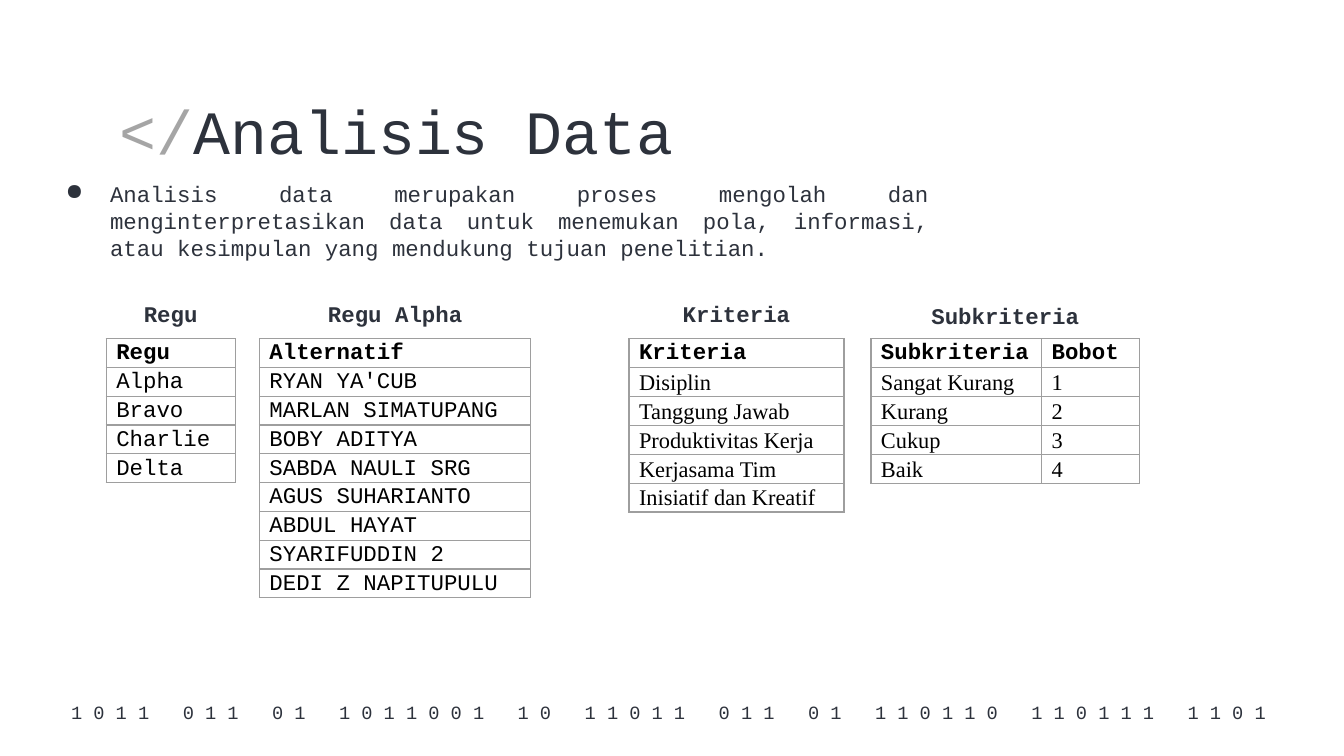
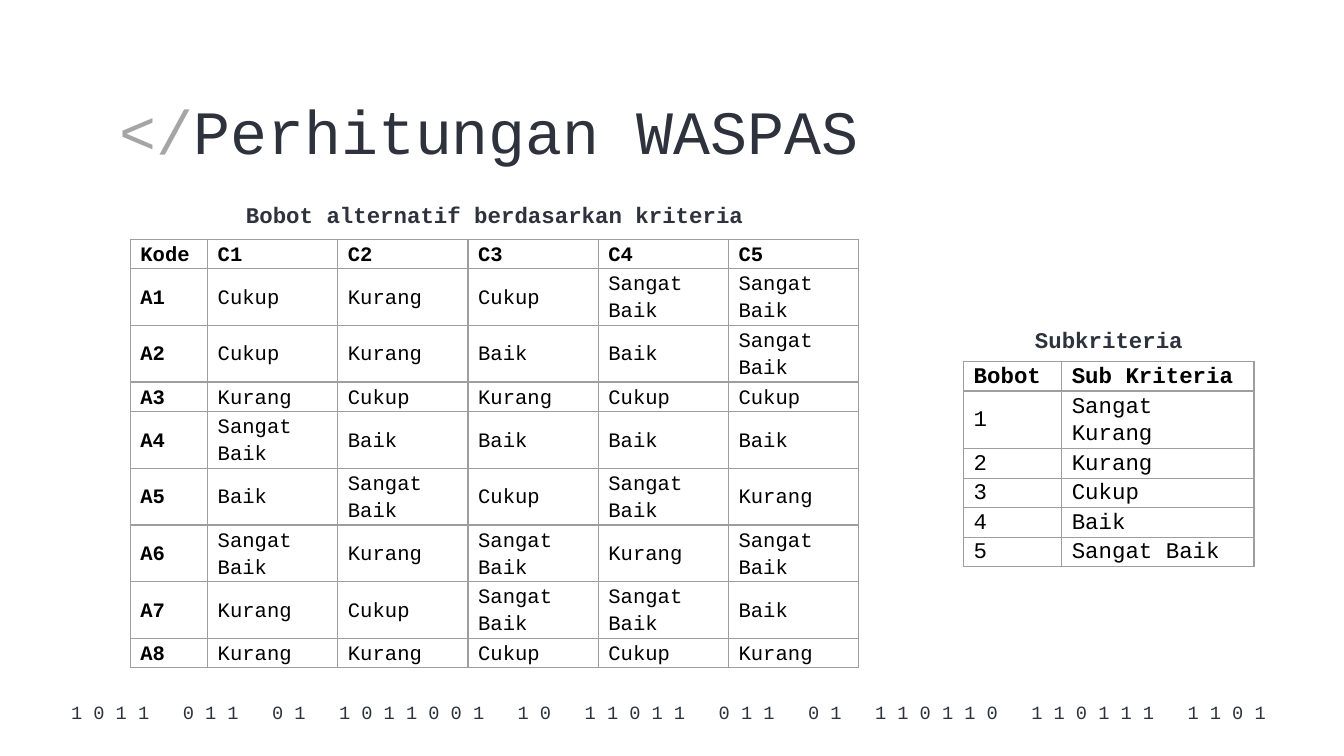
import pptx
import pptx.dml.color
import pptx.enum.text
import pptx.oxml
import pptx.oxml.ns
import pptx.util

COLORS = {"ink": "2D323C", "accent": "A5A5A5", "cell": "000000", "border": "9E9E9E", "page": "FFFFFF"}
MONO = "Courier New"
SERIF = "Times New Roman"
GRID_COLUMNS = 100
BINARY = "1011 011 01 1011001 10 11011 011 01 110110 110111 1101".split()
ALIGN = pptx.enum.text.PP_ALIGN
MIDDLE = pptx.enum.text.MSO_ANCHOR.MIDDLE


class Slides:
    def __init__(self):
        self.deck = pptx.Presentation()
        self.deck.slide_width = pptx.util.Inches(10)
        self.deck.slide_height = pptx.util.Inches(5.625)
        self.unit = self.deck.slide_width / GRID_COLUMNS
        self.page = None

    def grid(self, *lengths):
        return [round(length * self.unit) for length in lengths]

    def color(self, name):
        return pptx.dml.color.RGBColor.from_string(COLORS[name])

    def style(self, font, size, color="ink", bold=False, name=MONO):
        font.name = name
        font.size = pptx.util.Pt(size)
        font.bold = bold
        font.color.rgb = self.color(color)

    def text_box(self, place, size, align, bold=False, inset=None, anchor=None):
        box = self.page.shapes.add_textbox(*self.grid(*place))
        frame = box.text_frame
        frame.word_wrap = True
        if anchor is not None:
            frame.vertical_anchor = anchor
        if inset is not None:
            frame.margin_top, frame.margin_bottom = self.grid(inset, inset)
        para = frame.paragraphs[0]
        para.alignment = align
        self.style(para.font, size, bold=bold)
        return para, frame

    def add_span(self, para, text):
        span = para.add_run()
        span.text = text
        return span

    def add_page(self, title):
        self.page = self.deck.slides.add_slide(self.deck.slide_layouts[6])
        fill = self.page.background.fill
        fill.solid()
        fill.fore_color.rgb = self.color("page")
        self.footer()
        para, _ = self.text_box((7.9, 5.9, 84.3, 10.9), 33, ALIGN.LEFT, inset=1)
        self.add_span(para, "</").font.color.rgb = self.color("accent")
        self.add_span(para, title)

    def footer(self):
        para, _ = self.text_box((3.8, 52, 92.7, 2), 10, ALIGN.CENTER, inset=1, anchor=MIDDLE)
        for group in BINARY:
            self.add_span(para, " ".join(group))
            gap = self.add_span(para, " ")
            if group is not BINARY[-1]:
                gap.font._element.set("spc", "1200")

    def bullet(self, place, text):
        para, _ = self.text_box(place, 12, ALIGN.JUSTIFY, inset=1)
        self.add_span(para, text)
        indent, hanging = self.grid(5, -3.3)
        properties = para._p.get_or_add_pPr()
        properties.set("marL", str(indent))
        properties.set("indent", str(hanging))
        namespace = pptx.oxml.ns.nsdecls("a")
        marks = (
            f'<a:buClr {namespace}><a:srgbClr val="{COLORS["ink"]}"/></a:buClr>',
            f'<a:buChar {namespace} char="●"/>',
        )
        for position, mark in enumerate(marks):
            properties.insert(position, pptx.oxml.parse_xml(mark))

    def caption(self, left, top, width, text):
        para, frame = self.text_box((left, top, width, 3), 12, ALIGN.CENTER, bold=True, anchor=MIDDLE)
        frame.auto_size = pptx.enum.text.MSO_AUTO_SIZE.SHAPE_TO_FIT_TEXT
        self.add_span(para, text)

    def border(self, cell):
        properties = cell._tc.get_or_add_tcPr()
        for position, side in enumerate(("lnL", "lnR", "lnT", "lnB")):
            line = (
                f'<a:{side} {pptx.oxml.ns.nsdecls("a")} w="{pptx.util.Pt(0.75)}">'
                f'<a:solidFill><a:srgbClr val="{COLORS["border"]}"/></a:solidFill></a:{side}>'
            )
            properties.insert(position, pptx.oxml.parse_xml(line))

    def table(self, left, top, widths, rows, row_height, size=12, body_font=MONO,
              spacing=1.07, after=8, bold_codes=False):
        place = self.grid(left, top, sum(widths), row_height * len(rows))
        table = self.page.shapes.add_table(len(rows), len(widths), *place).table
        table.first_row = table.horz_banding = False
        for column, width in zip(table.columns, self.grid(*widths)):
            column.width = width
        for row_index, values in enumerate(rows):
            table.rows[row_index].height = self.grid(row_height)[0]
            for column_index, value in enumerate(values):
                cell = table.cell(row_index, column_index)
                cell.fill.background()
                self.border(cell)
                cell.vertical_anchor = MIDDLE
                cell.margin_left, cell.margin_right = self.grid(0.75, 0.75)
                cell.margin_top = cell.margin_bottom = 0
                para = cell.text_frame.paragraphs[0]
                para.line_spacing = spacing
                para.space_after = pptx.util.Pt(after)
                header = row_index == 0
                bold = header or (bold_codes and column_index == 0)
                self.style(para.font, size, "cell", bold, MONO if header else body_font)
                self.add_span(para, value)


def single_column(*values):
    return [[value] for value in values]


def analysis_page(slides):
    slides.add_page("Analisis Data")
    slides.bullet(
        (2.2, 12.4, 67.9, 32.7),
        "Analisis data merupakan proses mengolah dan menginterpretasikan data untuk "
        "menemukan pola, informasi, atau kesimpulan yang mendukung tujuan penelitian.",
    )
    squads = single_column("Regu", "Alpha", "Bravo", "Charlie", "Delta")
    members = single_column(
        "Alternatif", "RYAN YA'CUB", "MARLAN SIMATUPANG", "BOBY ADITYA", "SABDA NAULI SRG",
        "AGUS SUHARIANTO", "ABDUL HAYAT", "SYARIFUDDIN 2", "DEDI Z NAPITUPULU",
    )
    criteria = single_column(
        "Kriteria", "Disiplin", "Tanggung Jawab", "Produktivitas Kerja",
        "Kerjasama Tim", "Inisiatif dan Kreatif",
    )
    weights = [("Subkriteria", "Bobot"), ("Sangat Kurang", "1"), ("Kurang", "2"), ("Cukup", "3"), ("Baik", "4")]
    for left, caption_top, caption, widths, rows, row_height, font in (
        (7.9, 21.8, "Regu", [9.6], squads, 2.02, MONO),
        (19.3, 21.8, "Regu Alpha", [20.2], members, 2.02, MONO),
        (46.8, 21.8, "Kriteria", [16], criteria, 2.15, SERIF),
        (64.8, 22, "Subkriteria", [12.7, 7.3], weights, 2.15, SERIF),
    ):
        slides.caption(left, caption_top, sum(widths), caption)
        slides.table(left, 25.2, widths, rows, row_height, body_font=font)


def calculation_page(slides):
    slides.add_page("Perhitungan WASPAS")
    grades = {"K": "Kurang", "C": "Cukup", "B": "Baik", "S": "Sangat Baik"}
    ratings = ("CKCSS", "CKBBS", "KCKCC", "SBBBB", "BSCSK", "SKSKS", "KCSSB", "KKCCK")
    matrix = [["Kode"] + [f"C{number}" for number in range(1, 6)]]
    for number, marks in enumerate(ratings, 1):
        matrix.append([f"A{number}"] + [grades[mark] for mark in marks])
    slides.caption(9.7, 14.5, 54.2, "Bobot alternatif berdasarkan kriteria")
    slides.table(9.7, 17.8, [5.75] + [9.69] * 5, matrix, 2.2, size=11,
                 spacing=1.15, after=0, bold_codes=True)
    scale = ("Sangat Kurang", "Kurang", "Cukup", "Baik", "Sangat Baik")
    weights = [("Bobot", "Sub Kriteria")]
    weights += [(str(weight), grade) for weight, grade in enumerate(scale, 1)]
    slides.caption(72.4, 23.8, 20.2, "Subkriteria")
    slides.table(71.7, 26.9, [7.3, 14.3], weights, 2.2)


def main():
    slides = Slides()
    analysis_page(slides)
    calculation_page(slides)
    slides.deck.save("out.pptx")


if __name__ == "__main__":
    main()
